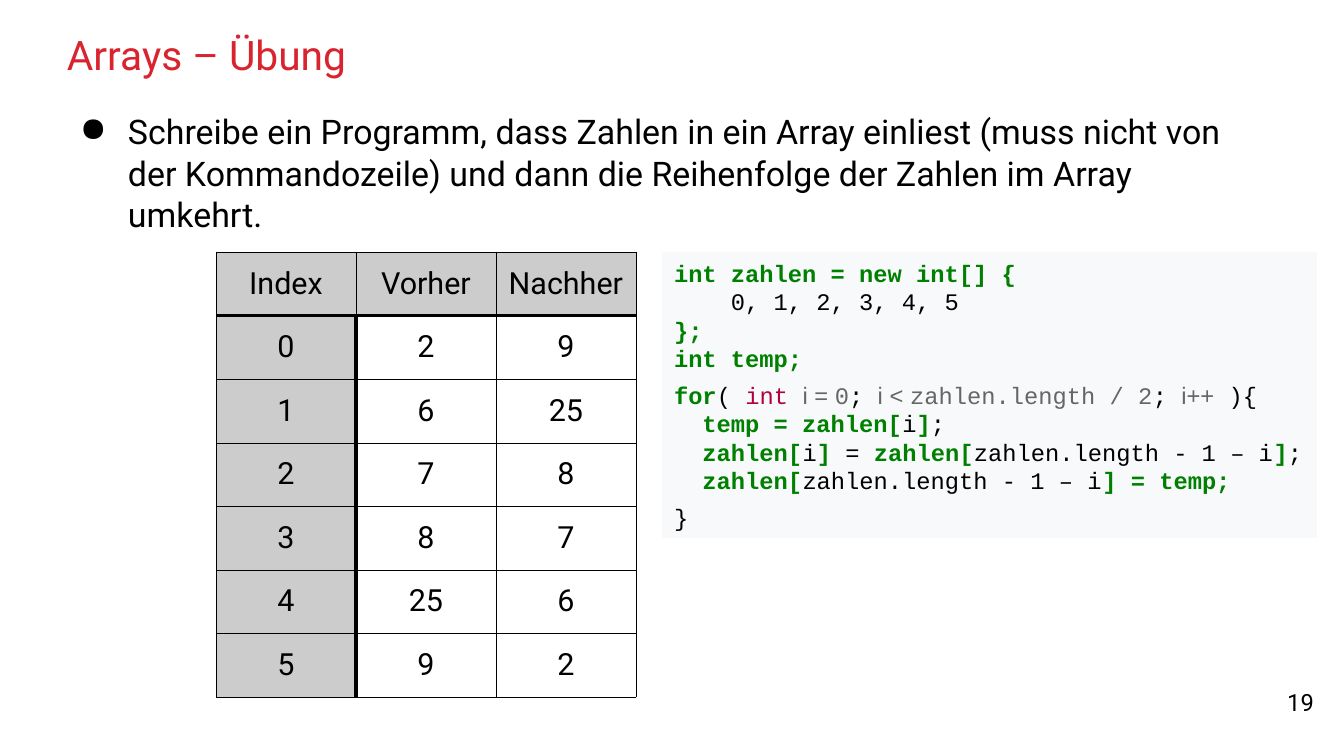
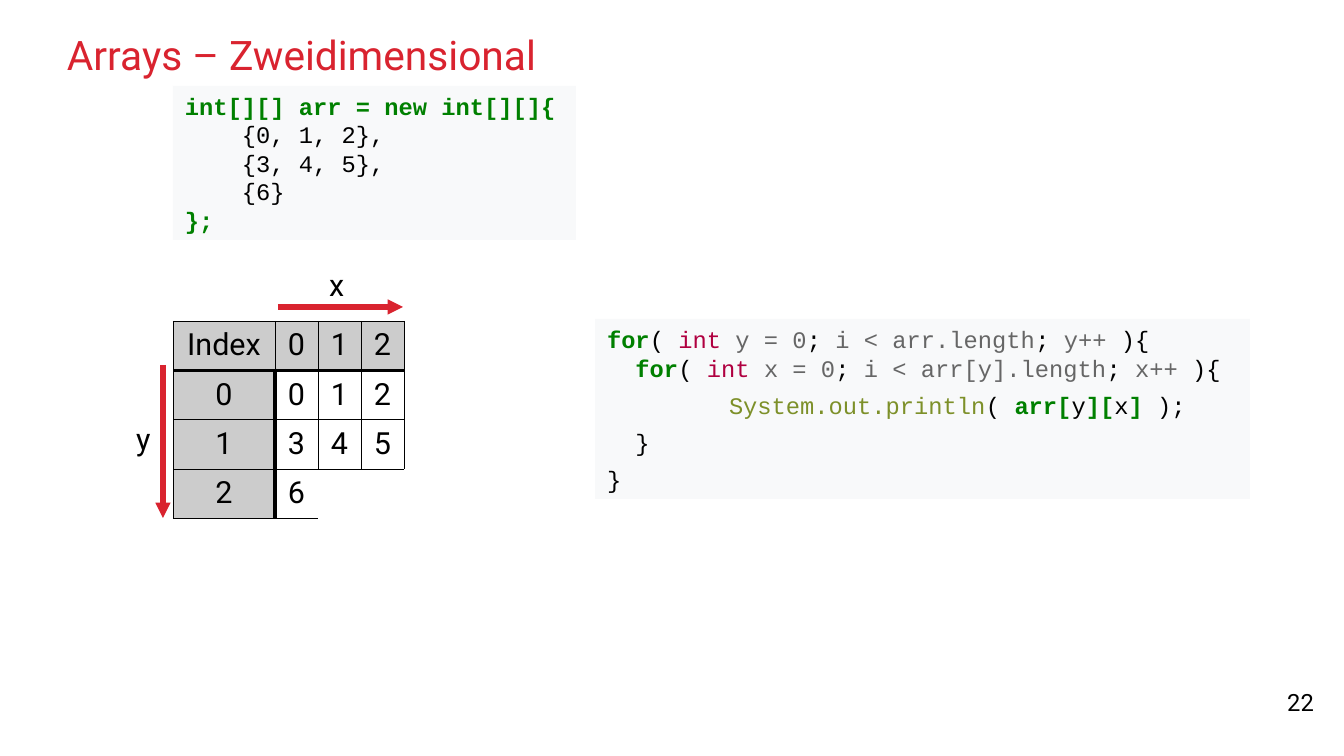
from dataclasses import dataclass
from typing import Any, Optional

import lxml.etree
import pptx
import pptx.dml.color
import pptx.enum.shapes
import pptx.enum.text
import pptx.oxml.ns
import pptx.util

# Shared look
PX = 914400 / 122
RED, BLACK, WHITE = "D9232F", "000000", "FFFFFF"
HEADER_FILL, CODE_FILL = "CCCCCC", "F8F9FA"
SANS, MONO = "Roboto", "Courier New"
THIN, THICK = 0.06, 2.27
ALIGN = pptx.enum.text.PP_ALIGN
ANCHOR = pptx.enum.text.MSO_ANCHOR


@dataclass(frozen=True)
class Box:
    left: int
    top: int
    width: int
    height: int

    def emu(self) -> list[int]:
        return [px(n) for n in (self.left, self.top, self.width, self.height)]


@dataclass(frozen=True)
class Ink:
    color: str
    bold: bool = False
    font: Optional[str] = None


@dataclass(frozen=True)
class CodeLine:
    tokens: list[tuple[str, Ink]]
    gap: int = 0
    tab: int = 0


@dataclass(frozen=True)
class Listing:
    box: Box
    lines: list[CodeLine]


@dataclass(frozen=True)
class Grid:
    box: Box
    columns: list[int]
    rows: list[list[str]]


KEY = Ink("008000", bold=True)
PLAIN = Ink(BLACK)
TYPE = Ink("B00040")
VALUE = Ink("666666")
VALUE_SANS = Ink("666666", font="Arial")
CALL = Ink("7D9029")


def px(length: int) -> int:
    return round(length * PX)


def rgb(color: str) -> Any:
    return pptx.dml.color.RGBColor.from_string(color)


def child(parent: Any, tag: str, **attributes: str) -> Any:
    return lxml.etree.SubElement(parent, pptx.oxml.ns.qn(tag), attributes)


def set_font(font: Any, name: str, size: int, color: str) -> None:
    font.name = name
    font.size = pptx.util.Pt(size)
    font.color.rgb = rgb(color)


def add_frame(slide: Any, box: Box, inset: tuple[int, int] = (12, 6),
              anchor: Any = ANCHOR.MIDDLE, fill: Optional[str] = None) -> Any:
    area = slide.shapes.add_textbox(*box.emu())
    if fill:
        area.fill.solid()
        area.fill.fore_color.rgb = rgb(fill)
    frame = area.text_frame
    frame.word_wrap = True
    frame.vertical_anchor = anchor
    frame.margin_left = frame.margin_right = px(inset[0])
    frame.margin_top = frame.margin_bottom = px(inset[1])
    return frame


def write(frame: Any, text: str, size: int, color: str = BLACK,
          align: Any = ALIGN.LEFT) -> None:
    paragraph = frame.paragraphs[0]
    paragraph.text = text
    paragraph.alignment = align
    set_font(paragraph.font, SANS, size, color)


def add_slide(deck: Any, title: str, number: int) -> Any:
    slide = deck.slides.add_slide(deck.slide_layouts[6])
    slide.background.fill.solid()
    slide.background.fill.fore_color.rgb = rgb(WHITE)
    write(add_frame(slide, Box(67, 31, 1210, 46), (0, 0)), title, 24, RED)
    write(add_frame(slide, Box(1143, 685, 183, 35)), str(number), 14,
          align=ALIGN.RIGHT)
    return slide


def add_task(slide: Any, box: Box, text: str) -> None:
    frame = add_frame(slide, box, (0, 0), ANCHOR.TOP)
    paragraph = frame.paragraphs[0]
    paragraph.line_spacing = 1.02
    properties = paragraph._p.get_or_add_pPr()
    properties.set("marL", str(px(61)))
    properties.set("indent", str(px(-48)))
    child(properties, "a:buChar", char="●")
    write(frame, text, 20)


def add_listing(slide: Any, listing: Listing) -> None:
    frame = add_frame(slide, listing.box, fill=CODE_FILL)
    for index, line in enumerate(listing.lines):
        paragraph = frame.add_paragraph() if index else frame.paragraphs[0]
        paragraph.alignment = ALIGN.LEFT
        paragraph.line_spacing = pptx.util.Pt(16.8)
        paragraph.space_before = pptx.util.Pt(line.gap)
        if line.tab:
            stops = child(paragraph._p.get_or_add_pPr(), "a:tabLst")
            child(stops, "a:tab", pos=str(px(line.tab)), algn="l")
        set_font(paragraph.font, MONO, 14, BLACK)
        for text, ink in line.tokens:
            run = paragraph.add_run()
            run.text = text
            run.font.color.rgb = rgb(ink.color)
            run.font.bold = ink.bold
            if ink.font:
                run.font.name = ink.font


def set_borders(cell: Any, widths: dict[str, float]) -> None:
    properties = cell._tc.get_or_add_tcPr()
    for position, side in enumerate(("L", "R", "T", "B")):
        width = widths.get(side, 0)
        edge = lxml.etree.Element(pptx.oxml.ns.qn(f"a:ln{side}"),
                                  w=str(pptx.util.Pt(width)))
        if width:
            child(child(edge, "a:solidFill"), "a:srgbClr", val=BLACK)
        else:
            child(edge, "a:noFill")
        properties.insert(position, edge)


def add_grid(slide: Any, grid: Grid) -> None:
    count, span = len(grid.rows), len(grid.columns)
    table = slide.shapes.add_table(count, span, *grid.box.emu()).table
    table.horz_banding = False
    for column, width in zip(table.columns, grid.columns):
        column.width = px(width)
    for row in table.rows:
        row.height = px(grid.box.height) // count
    for r, values in enumerate(grid.rows):
        for c in range(span):
            cell = table.cell(r, c)
            header = r == 0 or c == 0
            cell.fill.solid()
            cell.fill.fore_color.rgb = rgb(HEADER_FILL if header else WHITE)
            widths = {"T": THICK if r == 1 else THIN}
            if c < len(values):
                cell.vertical_anchor = ANCHOR.MIDDLE
                write(cell.text_frame, values[c], 18, align=ALIGN.CENTER)
                widths["L"] = THICK if r and c == 1 else THIN
                widths["B"] = THIN if r else THICK
                if c + 1 < len(values) or len(values) == span:
                    widths["R"] = THICK if r and c == 0 else THIN
            set_borders(cell, widths)
        # Unused cells at the end of a row become one open area
        if len(values) < span:
            table.cell(r, len(values)).merge(table.cell(r, span - 1))


def add_axis(slide: Any, start: tuple[int, int], end: tuple[int, int],
             label: str, label_box: Box) -> None:
    arrow = slide.shapes.add_connector(
        pptx.enum.shapes.MSO_CONNECTOR.STRAIGHT, *map(px, start + end))
    arrow.line.color.rgb = rgb(RED)
    arrow.line.width = pptx.util.Pt(3)
    child(arrow.line._get_or_add_ln(), "a:tailEnd", type="triangle")
    child(arrow._element.spPr, "a:effectLst")
    write(add_frame(slide, label_box, anchor=ANCHOR.TOP), label, 18)


# Content
REVERSE_TABLE = Grid(Box(216, 252, 420, 445), [140] * 3, [
    ["Index", "Vorher", "Nachher"],
    ["0", "2", "9"],
    ["1", "6", "25"],
    ["2", "7", "8"],
    ["3", "8", "7"],
    ["4", "25", "6"],
    ["5", "9", "2"],
])

REVERSE_CODE = Listing(Box(662, 252, 655, 286), [
    CodeLine([("int zahlen = new int[] {", KEY)]),
    CodeLine([("    0, 1, 2, 3, 4, 5", PLAIN)]),
    CodeLine([("};", KEY)]),
    CodeLine([("int temp;", KEY)]),
    CodeLine([("for", KEY), ("( ", PLAIN), ("int ", TYPE),
              ("i = ", VALUE_SANS), ("0", VALUE), ("; ", PLAIN),
              ("i < ", VALUE_SANS), ("zahlen.length / 2", VALUE),
              ("; ", PLAIN), ("i++", VALUE_SANS), (" ){", PLAIN)], gap=5),
    CodeLine([("  temp = zahlen[", KEY), ("i", PLAIN), ("]", KEY),
              (";", PLAIN)]),
    CodeLine([("  zahlen[", KEY), ("i", PLAIN), ("]", KEY), (" = ", PLAIN),
              ("zahlen[", KEY), ("zahlen.length - 1 – i", PLAIN),
              ("]", KEY), (";", PLAIN)]),
    CodeLine([("  zahlen[", KEY), ("zahlen.length - 1 – i", PLAIN),
              ("] = temp;", KEY)]),
    CodeLine([("}", PLAIN)], gap=5),
])

MATRIX_TABLE = Grid(Box(173, 321, 231, 197), [102, 43, 43, 43], [
    ["Index", "0", "1", "2"],
    ["0", "0", "1", "2"],
    ["1", "3", "4", "5"],
    ["2", "6"],
])

MATRIX_CODE = Listing(Box(173, 86, 403, 154), [
    CodeLine([("int[][] arr = new int[][]{", KEY)]),
    CodeLine([("    {0, 1, 2},", PLAIN)]),
    CodeLine([("    {3, 4, 5},", PLAIN)]),
    CodeLine([("    {6}", PLAIN)]),
    CodeLine([("};", KEY)]),
])


def loop_head(indent: str, name: str, limit: str) -> CodeLine:
    return CodeLine([(indent + "for", KEY), ("( ", PLAIN), ("int ", TYPE),
                     (f"{name} = 0", VALUE), ("; ", PLAIN),
                     (f"i < {limit}.length", VALUE), ("; ", PLAIN),
                     (f"{name}++", VALUE), (" ){", PLAIN)])


LOOP_CODE = Listing(Box(595, 319, 655, 180), [
    loop_head("", "y", "arr"),
    loop_head("  ", "x", "arr[y]"),
    CodeLine([("  \t", PLAIN), ("System.out.println", CALL), ("( ", PLAIN),
              ("arr[", KEY), ("y", PLAIN), ("][", KEY), ("x", PLAIN),
              ("]", KEY), (" );", PLAIN)], gap=5, tab=122),
    CodeLine([("  }", PLAIN)], gap=5),
    CodeLine([("}", PLAIN)], gap=5),
])


def main() -> None:
    deck = pptx.Presentation()
    deck.slide_width, deck.slide_height = px(1344), px(756)

    # Exercise: reverse an array
    exercise = add_slide(deck, "Arrays – Übung", 19)
    add_task(exercise, Box(67, 110, 1200, 122),
             "Schreibe ein Programm, dass Zahlen in ein Array einliest (muss "
             "nicht von der Kommandozeile) und dann die Reihenfolge der "
             "Zahlen im Array umkehrt.")
    add_grid(exercise, REVERSE_TABLE)
    add_listing(exercise, REVERSE_CODE)

    # Two-dimensional arrays
    matrix = add_slide(deck, "Arrays – Zweidimensional", 22)
    add_listing(matrix, MATRIX_CODE)
    add_grid(matrix, MATRIX_TABLE)
    add_axis(matrix, (278, 307), (403, 307), "x", Box(317, 260, 40, 48))
    add_axis(matrix, (163, 365), (163, 518), "y", Box(124, 414, 67, 48))
    add_listing(matrix, LOOP_CODE)

    deck.save("out.pptx")


if __name__ == "__main__":
    main()
